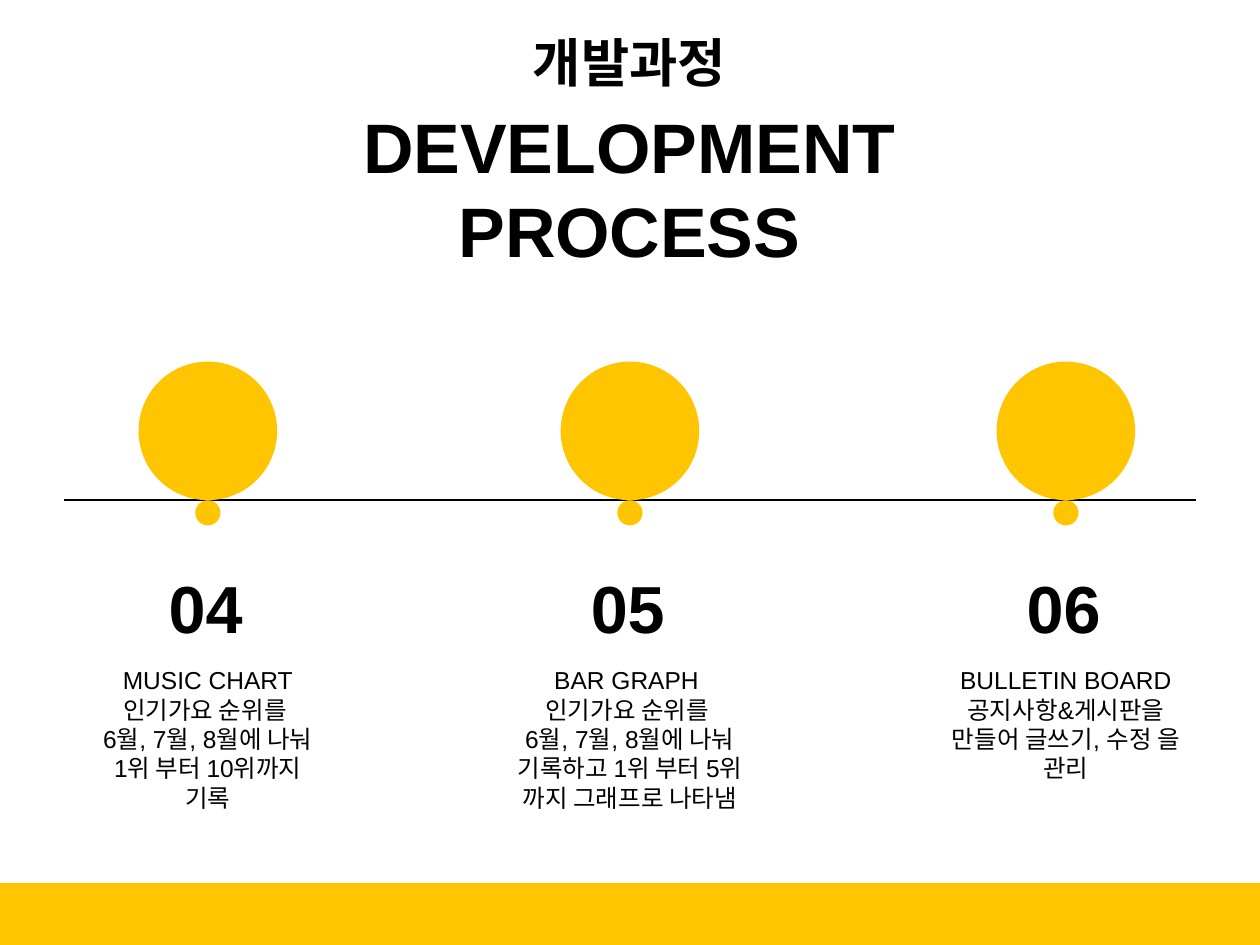
from pptx import Presentation
from pptx.dml.color import RGBColor
from pptx.enum.shapes import MSO_CONNECTOR as CONN, MSO_SHAPE as SHAPE
from pptx.enum.text import MSO_ANCHOR as ANCHOR, MSO_AUTO_SIZE as FIT, PP_ALIGN as ALIGN
from pptx.oxml.ns import qn
from pptx.util import Inches, Pt
from lxml.etree import SubElement

COLORS = {"ink": "000000", "accent": "FFC500", "paper": "FFFFFF"}
COLS, ROWS = 100, 75


class Deck:
    """Draws elements in one style on a slide grid of 100 columns by 75 rows."""

    def __init__(self, width, height, font="Arial"):
        self.prs = Presentation()
        self.prs.slide_width, self.prs.slide_height = Inches(width), Inches(height)
        self.font = font
        self.s = self.prs.slides.add_slide(self.prs.slide_layouts[6])
        fill = self.s.background.fill
        fill.solid()
        fill.fore_color.rgb = self.color("paper")

    def color(self, name):
        return RGBColor.from_string(COLORS[name])

    def x(self, cols):
        return round(self.prs.slide_width * cols / COLS)

    def y(self, rows):
        return round(self.prs.slide_height * rows / ROWS)

    def box(self, left, top, width, height):
        return self.x(left), self.y(top), self.x(width), self.y(height)

    def shape(self, kind, *at, parent=None):
        sp = (parent or self.s).shapes.add_shape(kind, *self.box(*at))
        sp.shadow.inherit = False
        sp.fill.solid()
        sp.fill.fore_color.rgb = self.color("accent")
        sp.line.fill.background()

    def marker(self, center, axis, sizes):
        group = self.s.shapes.add_group_shape()
        for size, top in zip(sizes, (axis - sizes[0], axis)):
            self.shape(SHAPE.OVAL, center - size / 2, top, size, size, parent=group)

    def line(self, left, right, row):
        c = self.s.shapes.add_connector(
            CONN.STRAIGHT, self.x(left), self.y(row), self.x(right), self.y(row))
        c.line.color.rgb = self.color("ink")
        c.line.width = Pt(1)
        SubElement(c._element.spPr, qn("a:effectLst"))

    def text(self, at, lines, bold=False, align=ALIGN.CENTER, wrap=True, tight=False):
        tf = self.s.shapes.add_textbox(*self.box(*at)).text_frame
        tf.word_wrap = wrap
        tf.auto_size = FIT.SHAPE_TO_FIT_TEXT
        if tight:
            tf.vertical_anchor = ANCHOR.MIDDLE
            tf.margin_left = tf.margin_right = tf.margin_top = tf.margin_bottom = 0
        for i, (words, size, before) in enumerate(lines):
            p = tf.add_paragraph() if i else tf.paragraphs[0]
            p.alignment = align
            p.space_before = Pt(before)
            r = p.add_run()
            r.text = words
            r.font.name, r.font.size, r.font.bold = self.font, Pt(size), bold
            r.font.color.rgb = self.color("ink")


AXIS = 39.7
STEPS = [
    (16.5, "04", 19.7, 12.8, ["MUSIC CHART", "인기가요 순위를 ",
                              "6월, 7월, 8월에 나눠 1위 부터 10위까지 기록"]),
    (50, "05", 22.6, 12.8, ["BAR GRAPH ", "인기가요 순위를 ",
                            "6월, 7월, 8월에 나눠 기록하고 1위 부터 5위 까지 그래프로 나타냄"]),
    (84.6, "06", 20.6, 10.4, ["BULLETIN BOARD",
                              "공지사항&게시판을 만들어 글쓰기, 수정 을 관리"]),
]

deck = Deck(10, 7.5)
deck.text((28.7, 2.4, 42.5, 19.1),
          [("개발과정", 30, 0), ("DEVELOPMENT", 40, 6), ("PROCESS", 40, 0)],
          bold=True, tight=True)
deck.line(5.1, 94.9, AXIS)
for center, number, width, height, lines in STEPS:
    deck.marker(center, AXIS, (11, 2))
    deck.text((center - 4.1, 44.5, 8.2, 7.4), [(number, 38, 0)],
              bold=True, align=ALIGN.LEFT, wrap=False)
    deck.text((center - width / 2, 52.3, width, height), [(t, 14, 0) for t in lines])
deck.shape(SHAPE.RECTANGLE, 0, 70.1, COLS, ROWS - 70.1)
deck.prs.save("out.pptx")
